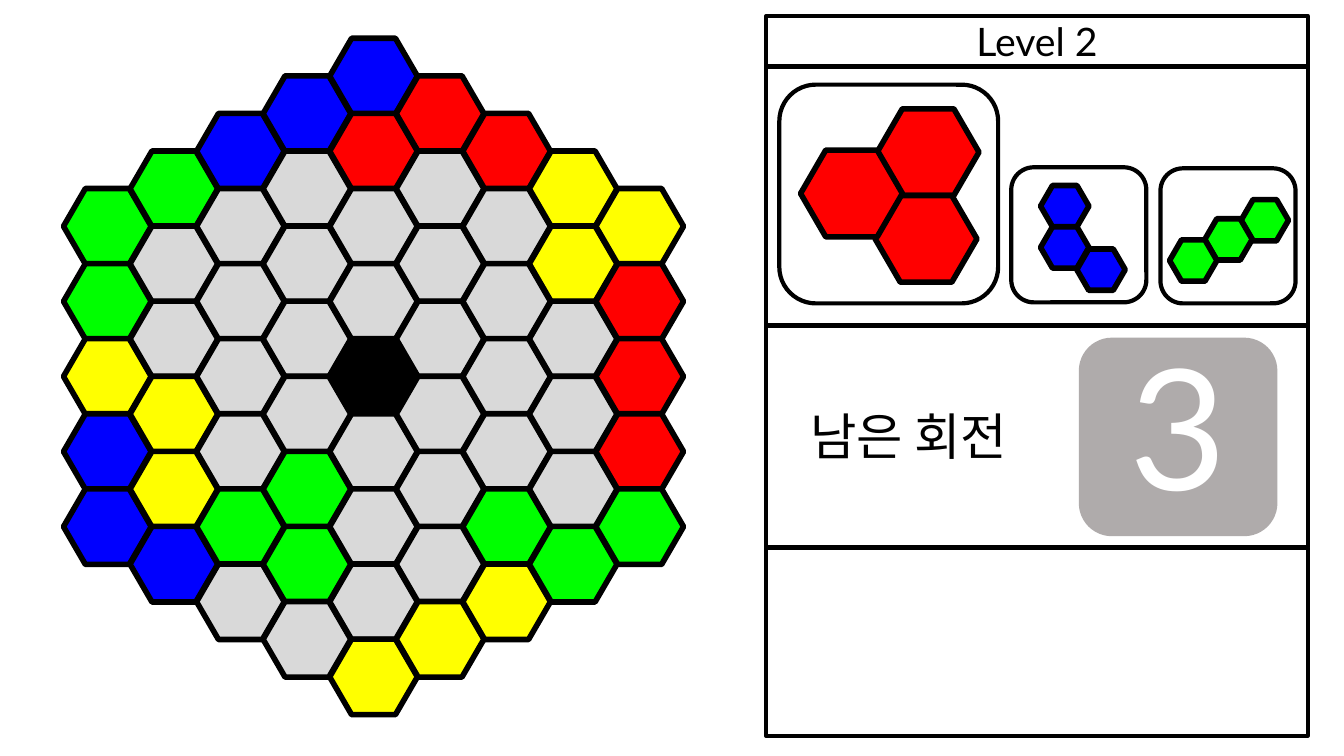
from dataclasses import dataclass

from lxml import etree
from pptx import Presentation, util as u
from pptx.dml.color import RGBColor
from pptx.enum import shapes as sh, text as tx
from pptx.oxml import ns

BLACK, WHITE, GREY = "000000", "FFFFFF", "AFABAB"
TILE_COLOURS = {"R": "FF0000", "G": "00FF00", "B": "0000FF",
                "Y": "FFFF00", "K": BLACK, ".": "D9D9D9"}

# Board: one string per column, read from top to bottom
BOARD = ["GGYBB", "G..YYB", "B....G.", "B....GG.", "BR..K...Y",
         "R......Y", "R....GY", "YY...G", "YRRRG"]
CENTRE_LEFT, CENTRE_TOP = 3.27, 3.36
TILE_WIDTH, TILE_HEIGHT = 0.87, 0.75
COLUMN_STEP, ROW_STEP = 0.66, 0.745

PANEL_LEFT, PANEL_WIDTH = 7.6, 5.37


@dataclass
class Box:
    left: float
    top: float
    width: float
    height: float

    def lengths(self) -> list:
        return [u.Inches(v) for v in (self.left, self.top, self.width, self.height)]


@dataclass
class Piece:
    frame: Box
    colour: str
    tile_width: float
    tile_height: float
    tiles: list[tuple[float, float]]


PIECES = [
    Piece(Box(7.73, 0.84, 2.17, 2.17), "R", 1.01, 0.86,
          [(8.7, 1.08), (8.68, 1.94), (7.94, 1.49)]),
    Piece(Box(10.03, 1.66, 1.34, 1.34), "B", 0.48, 0.41,
          [(10.32, 1.84), (10.32, 2.25), (10.68, 2.47)]),
    Piece(Box(11.51, 1.67, 1.34, 1.34), "G", 0.47, 0.41,
          [(12.31, 1.98), (11.95, 2.17), (11.6, 2.38)]),
]


def paint(shape, fill: str | None, line_width: float) -> None:
    """Fill the shape and outline it in black; None or 0 leaves that part out."""
    if fill:
        shape.fill.solid()
        shape.fill.fore_color.rgb = RGBColor.from_string(fill)
    else:
        shape.fill.background()
    if line_width:
        shape.line.color.rgb = RGBColor.from_string(BLACK)
        shape.line.width = u.Pt(line_width)
    else:
        shape.line.fill.background()


def draw(parent, kind, box: Box, fill: str | None = None, line_width: float = 3):
    shape = parent.add_shape(kind, *box.lengths())
    shape.shadow.inherit = False
    paint(shape, fill, line_width)
    return shape


def draw_tile(parent, box: Box, colour: str) -> None:
    tile = draw(parent, sh.MSO_SHAPE.HEXAGON, box, TILE_COLOURS[colour], 4)
    tile.adjustments[0] = 0.29


def write(shape, words: str, size: float, colour: str, font: str, align) -> None:
    paragraph = shape.text_frame.paragraphs[0]
    paragraph.alignment = align
    run = paragraph.add_run()
    run.text = words
    run.font.size = u.Pt(size)
    run.font.name = font
    run.font.color.rgb = RGBColor.from_string(colour)
    latin = run.font._element.find(ns.qn("a:latin"))
    east_asian = etree.Element(ns.qn("a:ea"), typeface=font)
    latin.addnext(east_asian)


def draw_board(slide) -> None:
    middle = len(BOARD) // 2
    for column, colours in enumerate(BOARD):
        left = CENTRE_LEFT + (column - middle) * COLUMN_STEP
        top = CENTRE_TOP - (len(colours) - 1) / 2 * ROW_STEP
        for row, colour in enumerate(colours):
            draw_tile(slide.shapes,
                      Box(left, top + row * ROW_STEP, TILE_WIDTH, TILE_HEIGHT), colour)


def draw_level(slide) -> None:
    level = slide.shapes.title
    level.left, level.top, level.width, level.height = Box(
        PANEL_LEFT, 0.16, PANEL_WIDTH, 0.5).lengths()
    paint(level, None, 3)
    level.text_frame.auto_size = tx.MSO_AUTO_SIZE.NONE
    level.text_frame.vertical_anchor = tx.MSO_ANCHOR.MIDDLE
    write(level, "Level 2", 28, BLACK, "Lato", tx.PP_ALIGN.CENTER)


def draw_pieces(slide) -> None:
    for piece in PIECES:
        draw(slide.shapes, sh.MSO_SHAPE.ROUNDED_RECTANGLE, piece.frame)
        group = slide.shapes.add_group_shape()
        for left, top in piece.tiles:
            draw_tile(group.shapes,
                      Box(left, top, piece.tile_width, piece.tile_height), piece.colour)


def draw_turns(slide) -> None:
    counter = draw(slide.shapes, sh.MSO_SHAPE.ROUNDED_RECTANGLE,
                   Box(10.7, 3.35, 1.97, 1.97), GREY, 0)
    counter.text_frame.margin_bottom = u.Inches(0.31)
    counter.text_frame.vertical_anchor = tx.MSO_ANCHOR.MIDDLE
    write(counter, "3", 120, WHITE, "Lato", tx.PP_ALIGN.CENTER)

    turns_left = slide.shapes.add_textbox(*Box(7.94, 3.97, 2.42, 0.71).lengths())
    turns_left.text_frame.word_wrap = True
    write(turns_left, "남은 회전", 36, BLACK, "Noto Sans CJK KR", tx.PP_ALIGN.LEFT)


def main() -> None:
    deck = Presentation()
    deck.slide_width, deck.slide_height = u.Inches(13.33), u.Inches(7.5)
    slide = deck.slides.add_slide(deck.slide_layouts.get_by_name("Title Only"))

    draw_board(slide)

    # Side panel: level, pieces, turns left, empty row
    draw_level(slide)
    for top, height in [(0.66, 2.57), (3.23, 2.2), (5.44, 1.86)]:
        draw(slide.shapes, sh.MSO_SHAPE.RECTANGLE,
             Box(PANEL_LEFT, top, PANEL_WIDTH, height))
    draw_pieces(slide)
    draw_turns(slide)

    deck.save("out.pptx")


if __name__ == "__main__":
    main()
